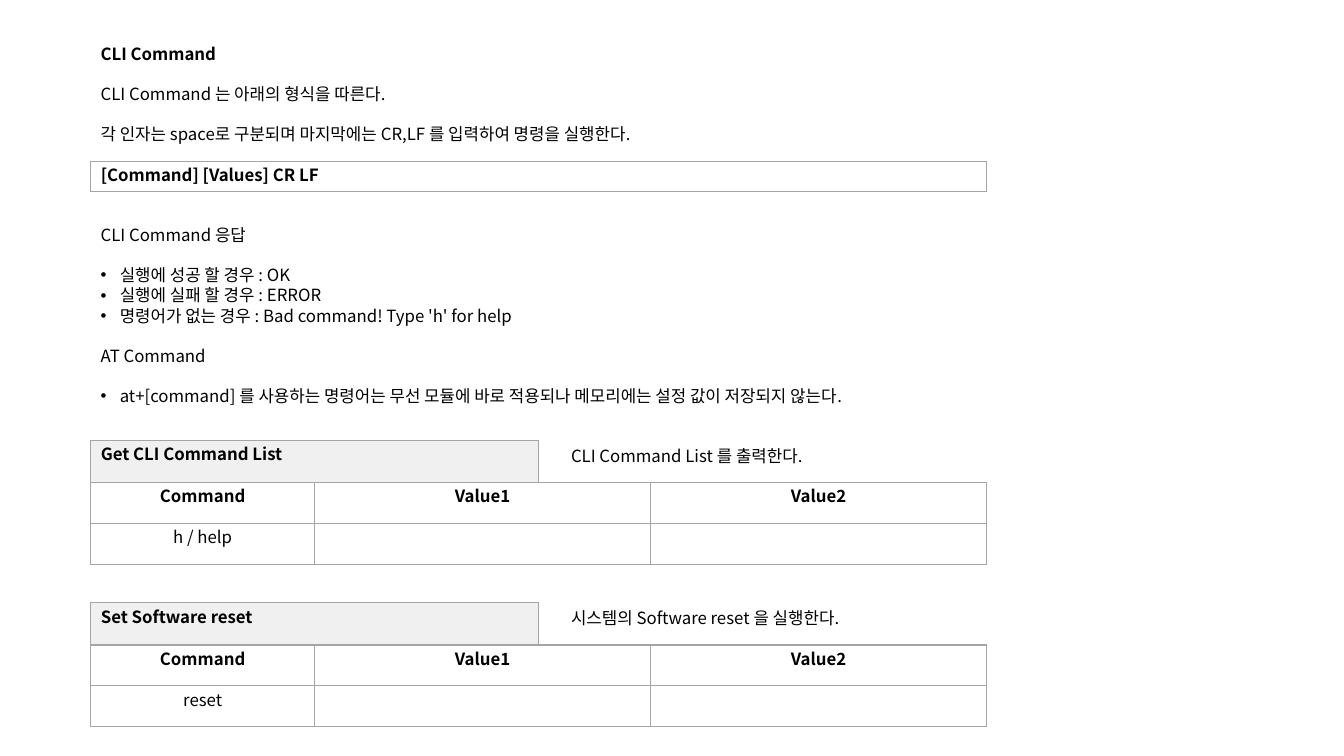
import pptx
import pptx.util
import pptx.dml.color
import pptx.enum.text
import pptx.oxml.ns
import lxml.etree

WIDE, HIGH = pptx.util.Inches(13.33), pptx.util.Inches(7.5)
COL, ROW = WIDE / 24, HIGH / 75
FONT, SIZE, LINE = "Noto Sans CJK KR", 12, 14.4
INK, EDGE, SHADE = "000000", "A5A5A5", "F0F0F0"
LEFT, SPAN = 1.62, 16

INTRO = [
    ("CLI Command", 0, True, False),
    ("CLI Command 는 아래의 형식을 따른다.", 1, False, False),
    ("각 인자는 space로 구분되며 마지막에는 CR,LF 를 입력하여 명령을 실행한다.", 1, False, False),
    ("CLI Command 응답", 4, False, False),
    ("실행에 성공 할 경우 : OK", 1, False, True),
    ("실행에 실패 할 경우 : ERROR", 0, False, True),
    ("명령어가 없는 경우 : Bad command! Type 'h' for help", 0, False, True),
    ("AT Command", 1, False, False),
    ("at+[command] 를 사용하는 명령어는 무선 모듈에 바로 적용되나 "
     "메모리에는 설정 값이 저장되지 않는다.", 1, False, True),
]
GROUPS = [
    (43.7, "Get CLI Command List", "CLI Command List 를 출력한다.", "h / help"),
    (59.8, "Set Software reset", "시스템의 Software reset 을 실행한다.", "reset"),
]


def color(code):
    """Turn a hex string into a colour."""
    return pptx.dml.color.RGBColor.from_string(code)


def place(box):
    """Turn a box in columns and rows into slide lengths."""
    left, top, wide, high = box
    return [int(n) for n in (left * COL, top * ROW, wide * COL, high * ROW)]


def child(node, tag, **attrs):
    """Add a drawing element to a node."""
    return lxml.etree.SubElement(node, pptx.oxml.ns.qn("a:" + tag), **attrs)


def write(para, text, bold=False):
    """Fill a paragraph with one run of text."""
    para.line_spacing = pptx.util.Pt(LINE)
    if not text:
        return
    run = para.add_run()
    run.text = text
    font = run.font
    font.name, font.size, font.bold = FONT, pptx.util.Pt(SIZE), bold
    font.color.rgb = color(INK)
    child(font._element, "ea", typeface=FONT)


def dot(para):
    """Give a paragraph a hanging bullet."""
    props = para._p.get_or_add_pPr()
    hang = pptx.util.Inches(0.19)
    props.set("marL", str(hang))
    props.set("indent", str(-hang))
    child(props, "buFont", typeface="Arial")
    child(props, "buChar", char="•")


def prose(slide, box, lines):
    """Place a text box of lines, each with its gap, weight and bullet."""
    frame = slide.shapes.add_textbox(*place(box)).text_frame
    frame.word_wrap = True
    for i, (text, gap, bold, mark) in enumerate(lines):
        para = frame.add_paragraph() if i else frame.paragraphs[0]
        write(para, text, bold)
        if gap:
            para.space_before = pptx.util.Pt(gap * LINE)
        if mark:
            dot(para)


def frame_cell(cell):
    """Draw the four borders of a cell."""
    props = cell._tc.get_or_add_tcPr()
    for i, side in enumerate(("lnL", "lnR", "lnT", "lnB")):
        line = lxml.etree.Element(pptx.oxml.ns.qn("a:" + side), w=str(pptx.util.Pt(1)))
        child(child(line, "solidFill"), "srgbClr", val=EDGE)
        props.insert(i, line)


def table(slide, box, rows, cols, fill=None):
    """Place a bordered table whose first row is bold."""
    grid = slide.shapes.add_table(len(rows), len(cols), *place(box)).table
    grid.first_row = grid.horz_banding = False
    for i, share in enumerate(cols):
        grid.columns[i].width = int(share * COL)
    for i, row in enumerate(rows):
        for j, text in enumerate(row):
            cell = grid.cell(i, j)
            if fill:
                cell.fill.solid()
                cell.fill.fore_color.rgb = color(fill)
            else:
                cell.fill.background()
            frame_cell(cell)
            para = cell.text_frame.paragraphs[0]
            if len(cols) > 1:
                para.alignment = pptx.enum.text.PP_ALIGN.CENTER
            write(para, text, i == 0)


def group(slide, box, title, note, name):
    """Place a command's title, note and table of values."""
    left, top, wide, high = box
    head = high * 0.34
    table(slide, (left, top, wide / 2, head), [[title]], [wide / 2], SHADE)
    prose(slide, (left + 8.4, top, wide / 2, 3), [(note, 0, False, False)])
    rows = [["Command", "Value1", "Value2"], [name, "", ""]]
    table(slide, (left, top + head, wide, high - head), rows,
          [wide / 4, wide * 3 / 8, wide * 3 / 8])


def main():
    """Build and save the slide."""
    deck = pptx.Presentation()
    deck.slide_width, deck.slide_height = WIDE, HIGH
    slide = deck.slides.add_slide(deck.slide_layouts[6])
    prose(slide, (LEFT, 3.8, SPAN, 37.4), INTRO)
    table(slide, (LEFT, 16, SPAN, 3), [["[Command] [Values] CR LF"]], [SPAN])
    for top, *words in GROUPS:
        group(slide, (LEFT, top, SPAN, 12.3), *words)
    deck.save("out.pptx")


main()
